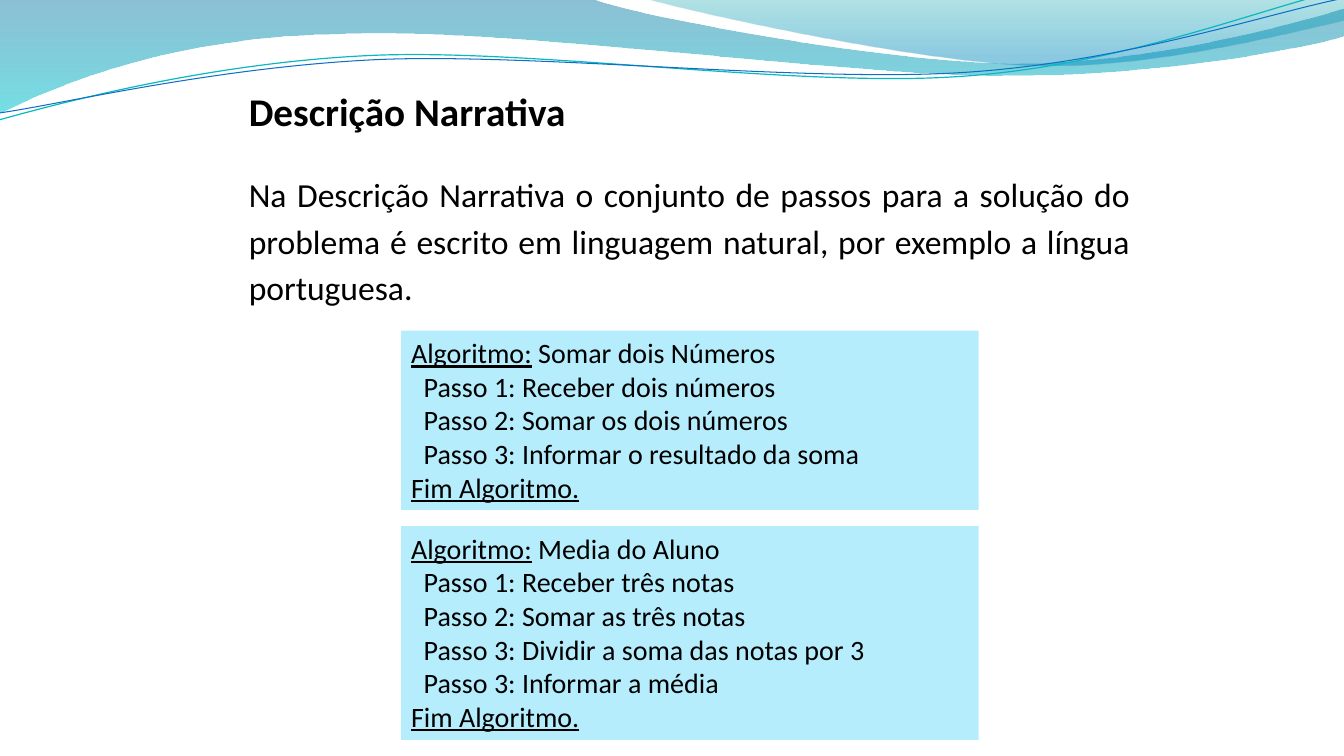
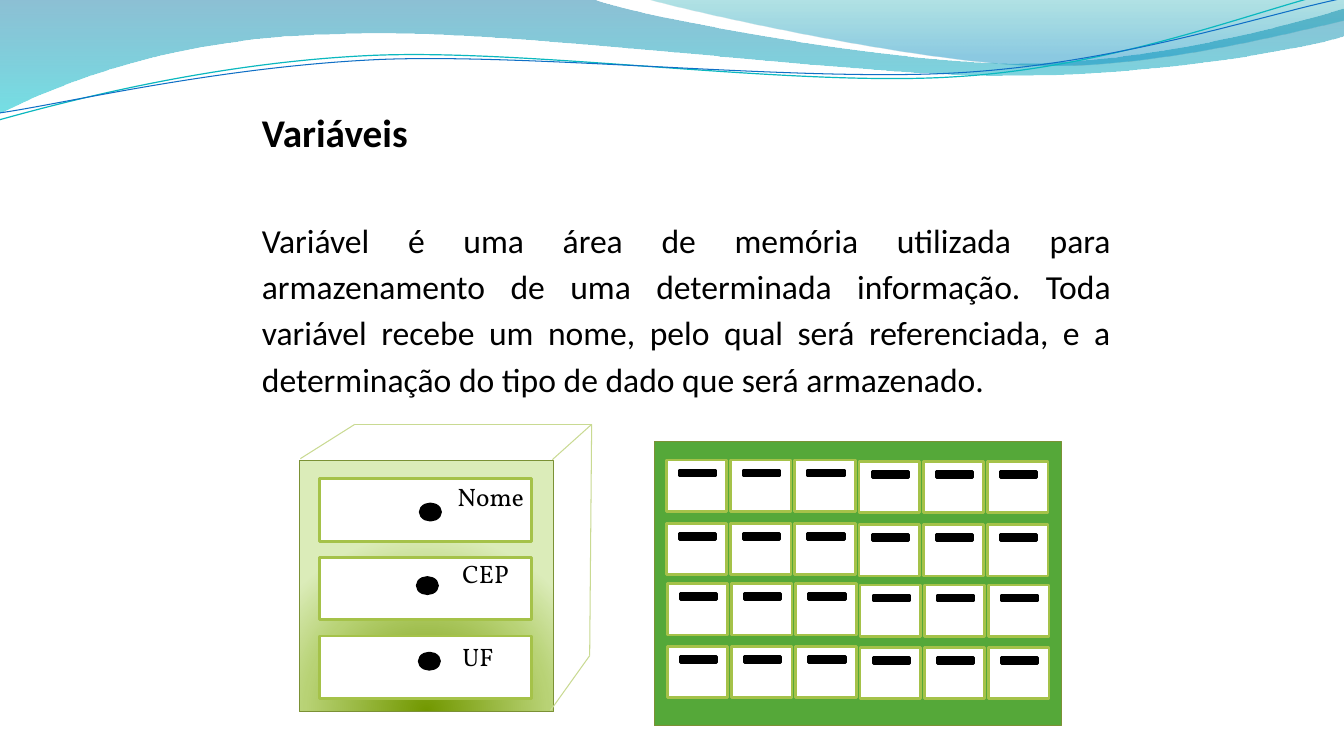
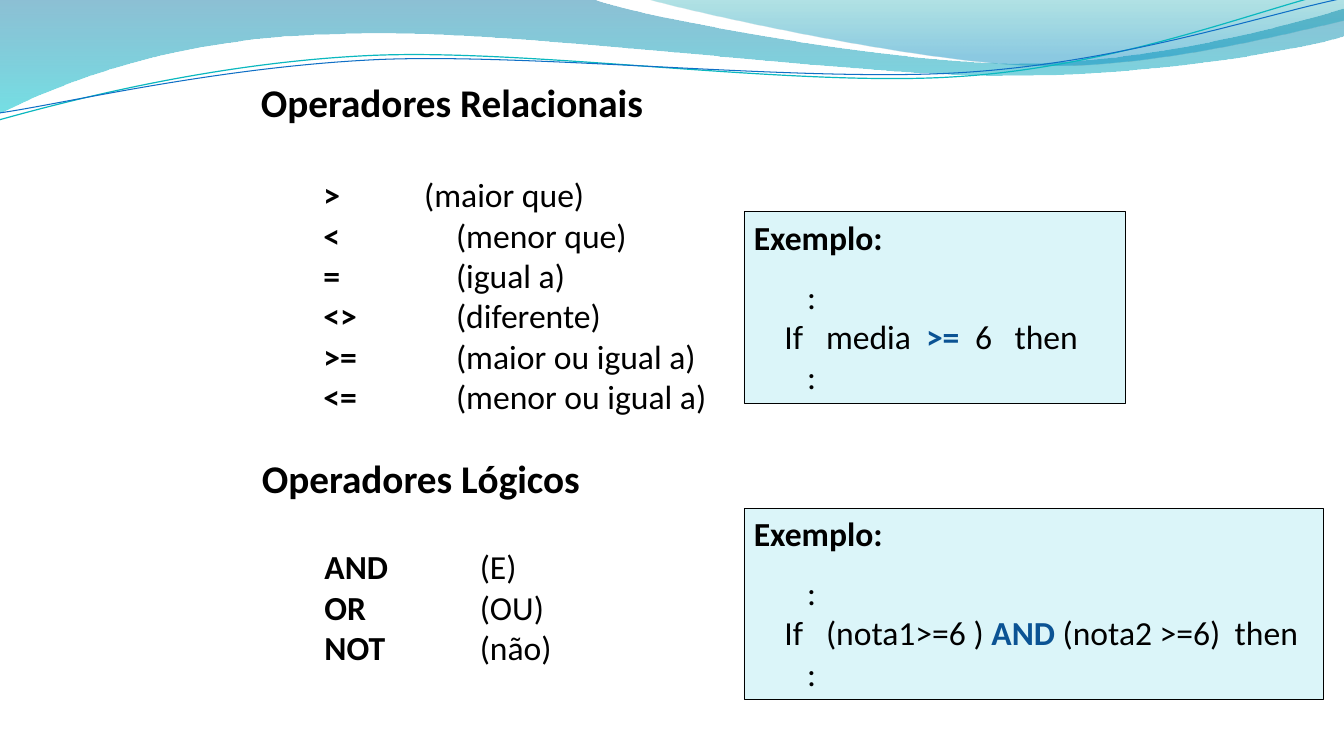
import math

import pptx
import pptx.dml.color
import pptx.enum.shapes
import pptx.enum.text
import pptx.oxml
import pptx.oxml.ns
import pptx.util

RGB = pptx.dml.color.RGBColor
KIND = pptx.enum.shapes.MSO_SHAPE
ALIGN = pptx.enum.text.PP_ALIGN

# The slide is a grid of 160 columns by 90 rows of square cells.
COLS, ROWS = 160, 90
CELL = pptx.util.Inches(7.5) // ROWS

BLACK = RGB(0x00, 0x00, 0x00)
WHITE = RGB(0xFF, 0xFF, 0xFF)
SKY = RGB(0xB5, 0xED, 0xFD)
ICE = RGB(0xDB, 0xF5, 0xF9)
NAVY = RGB(0x0B, 0x53, 0x94)
TEAL = RGB(0x0A, 0xB8, 0xBF)
BLUE = RGB(0x0F, 0x6F, 0xC6)
LIME = RGB(0xA5, 0xC2, 0x49)
PALE = RGB(0xC9, 0xDA, 0x92)
OLIVE = RGB(0x7B, 0x91, 0x35)
GREEN = RGB(0x55, 0xA8, 0x39)

# Gradient stops: position, colour and opacity in percent.
BAND = [(0, RGB(0x00, 0x74, 0xA1), 45), (100, RGB(0x00, 0xC6, 0xCF), 55)]
GLOW = [(0, RGB(0x00, 0xA1, 0xA9), 30), (80, RGB(0x00, 0x8B, 0xBF), 45)]
WOOD = [(0, RGB(0x72, 0x98, 0x00), 100), (68, RGB(0xB8, 0xD2, 0x75), 100),
        (100, RGB(0xDB, 0xEC, 0xB9), 100)]
DOWN = '<a:lin ang="5400000" scaled="0"/>'
ROUND = ('<a:path path="circle"><a:fillToRect l="50000" t="130000" '
         'r="50000" b="-30000"/></a:path>')

# Frames and outlines: two numbers make a straight step, six make a curve.
TILT = -2.7
BAND_BOX = (-0.12, -0.12, 160.32, 13.68)
BAND_PATH = [
    (0, 0), (70.44, -0.12), (76.08, 2.04, 106.2, 7.56, 121.32, 7.56),
    (136.56, 7.56, 153.36, 3.12, 159.96, 1.08), (160.2, 4.32),
    (157.32, 5.28, 139.2, 9.12, 119.28, 9),
    (99.48, 9, 61.08, 3.36, 41.16, 4.08),
    (20.64, 4.32, 7.32, 9.96, -0.12, 13.56), (0, 0)]
GLOW_BOX = (76.68, -0.12, 83.28, 8.4)
GLOW_PATH = [
    (76.68, -0.12), (81.48, 1.32, 109.08, 7.44, 123, 7.8),
    (136.92, 8.28, 153.84, 3.84, 159.96, 2.52), (159.96, 0), (76.68, -0.12)]
TEAL_BOX = (-0.36, 2.64, 160.32, 8.52)
TEAL_PATH = [
    (-0.12, 14.28), (7.68, 12.12, 25.32, 7.44, 44.28, 6.6),
    (63.24, 5.76, 94.8, 10.44, 114, 9.12),
    (133.2, 7.92, 150.24, 0.96, 159.72, -1.2)]
BLUE_BOX = (-0.24, 3.6, 160.56, 6.96)
BLUE_PATH = [
    (0, 13.44), (7.56, 12.36, 26.16, 7.92, 45.36, 7.08),
    (64.44, 6.36, 95.52, 9.84, 114.6, 8.64),
    (133.8, 7.44, 150.6, 1.68, 160.08, -0.24)]


def cells(*nums):
    """Turn grid cells into lengths."""
    return [pptx.util.Emu(round(num * CELL)) for num in nums]


def node(text):
    """Make one drawing element from its XML."""
    head, tail = text.split(" ", 1)
    return pptx.oxml.parse_xml(f"{head} {pptx.oxml.ns.nsdecls('a')} {tail}")


def swap(shape, tag, new):
    """Put a new element in place of the one with this tag."""
    old = next(shape.element.spPr.iter(pptx.oxml.ns.qn(tag)))
    old.getparent().replace(old, new)


def shade(shape, stops, way):
    """Fill a shape with a gradient."""
    shape.fill.gradient()
    marks = "".join(
        f'<a:gs pos="{pos * 1000}"><a:srgbClr val="{tint}">'
        f'<a:alpha val="{alpha * 1000}"/></a:srgbClr></a:gs>'
        for pos, tint, alpha in stops)
    swap(shape, "a:gradFill", node(
        f'<a:gradFill rotWithShape="1"><a:gsLst>{marks}</a:gsLst>'
        f'{way}</a:gradFill>'))


def stroke(shape, tint, width):
    """Set or remove the line of a shape."""
    if tint is None:
        shape.line.fill.background()
    else:
        shape.line.color.rgb = tint
        shape.line.width = pptx.util.Pt(width)


def block(slide, place, fill, line=None, width=2, kind=KIND.RECTANGLE):
    """Add a preset shape with a plain fill."""
    shape = slide.shapes.add_shape(kind, *cells(*place))
    shape.shadow.inherit = False
    shape.fill.solid()
    shape.fill.fore_color.rgb = fill
    stroke(shape, line, width)
    return shape


def edge(slide, start, end):
    """Add a thin straight line."""
    line = slide.shapes.add_connector(
        pptx.enum.shapes.MSO_CONNECTOR.STRAIGHT, *cells(*start, *end))
    stroke(line, PALE, 0.75)
    line.element.spPr.append(node("<a:effectLst />"))


def turn(spot, box, angle):
    """Place a point in its frame, with the tilt of the frame undone."""
    left, top, wide, tall = box
    x, y = spot[0] - left - wide / 2, spot[1] - top - tall / 2
    cos, sin = math.cos(math.radians(angle)), math.sin(math.radians(angle))
    return cells(x * cos + y * sin + wide / 2, y * cos - x * sin + tall / 2)


def outline(route, box, angle, shut):
    """Make the path element of an outline."""
    steps = ""
    for part in route:
        spots = [turn(part[at:at + 2], box, angle)
                 for at in range(0, len(part), 2)]
        tag = "cubicBezTo" if len(spots) == 3 else "lnTo" if steps else "moveTo"
        dots = "".join(f'<a:pt x="{x}" y="{y}"/>' for x, y in spots)
        steps += f"<a:{tag}>{dots}</a:{tag}>"
    wide, tall = cells(*box[2:])
    end = "<a:close/>" if shut else ""
    return node(f'<a:path w="{wide}" h="{tall}">{steps}{end}</a:path>')


def wave(slide, route, box, stops=None, line=None, width=1, angle=0):
    """Add a curved band, or an open curve when it has no stops."""
    pen = slide.shapes.build_freeform(*cells(*route[0]))
    pen.add_line_segments([cells(*part[-2:]) for part in route[1:]],
                          close=bool(stops))
    shape = pen.convert_to_shape()
    swap(shape, "a:path", outline(route, box, angle, bool(stops)))
    shape.left, shape.top, shape.width, shape.height = cells(*box)
    shape.rotation = angle
    shape.shadow.inherit = False
    if stops:
        shade(shape, stops, DOWN)
    else:
        shape.fill.background()
    stroke(shape, line, width)
    return shape


def dress(slide, layout):
    """Draw the waves and move them to the shared layout."""
    tree = layout.shapes.element
    for holder in list(layout.placeholders):
        tree.remove(holder.element)
    for shape in (
            wave(slide, BAND_PATH, BAND_BOX, BAND),
            wave(slide, GLOW_PATH, GLOW_BOX, GLOW),
            wave(slide, TEAL_PATH, TEAL_BOX, line=TEAL, width=0.85, angle=TILT),
            wave(slide, BLUE_PATH, BLUE_BOX, line=BLUE, width=0.75, angle=TILT)):
        tree.append(shape.element)


def ready(shape):
    """Return the text frame of a shape, set to wrap and grow."""
    frame = shape.text_frame
    frame.word_wrap = True
    frame.auto_size = pptx.enum.text.MSO_AUTO_SIZE.SHAPE_TO_FIT_TEXT
    frame.vertical_anchor = pptx.enum.text.MSO_ANCHOR.TOP
    return frame


def area(slide, *place):
    """Add an empty text box."""
    return ready(slide.shapes.add_textbox(*cells(*place)))


def say(frame, *runs, size=24, font="Calibri", align=ALIGN.LEFT, space=None,
        after=0, inset=0, tabs=()):
    """Add a paragraph; a run is text, or text with marks b, u or k (key)."""
    para = frame.paragraphs[0]
    if para.runs:
        para = frame.add_paragraph()
    para.alignment = align
    para.space_after = pptx.util.Pt(after)
    if space:
        para.line_spacing = space
    props = para._p.get_or_add_pPr()
    if inset:
        props.set("marL", str(cells(inset)[0]))
    if tabs:
        stops = "".join(f'<a:tab pos="{pos}" algn="l"/>' for pos in cells(*tabs))
        props.append(node(f"<a:tabLst >{stops}</a:tabLst>"))
    for item in runs:
        text, marks = (item, "") if isinstance(item, str) else item
        run = para.add_run()
        run.text = text
        run.font.name = font
        run.font.size = pptx.util.Pt(size)
        run.font.bold = "b" in marks
        run.font.underline = "u" in marks
        run.font.color.rgb = NAVY if "k" in marks else BLACK


def head(slide, text, left, top, wide=50.16):
    """Add a bold heading."""
    say(area(slide, left, top, wide, 6.84), (text, "b"), size=28)


def body(slide, text, *place):
    """Add a justified paragraph."""
    say(area(slide, *place), text, align=ALIGN.JUSTIFY, space=1.15, after=10)


def recipe(slide, name, steps, top, tall):
    """Add a box with the steps of an algorithm."""
    frame = ready(block(slide, (47.76, top, 68.76, tall), SKY))
    say(frame, ("Algoritmo:", "u"), " " + name, size=20)
    for step in steps:
        say(frame, step, size=20, inset=1.5)
    say(frame, ("Fim Algoritmo.", "u"), size=20)


def terms(slide, pairs, tab, *place):
    """Add a list of operators with their meanings."""
    frame = area(slide, *place)
    for sign, sense, *own in pairs:
        say(frame, (sign, "b"), "\t" + sense, tabs=own or [tab])


def sample(slide, runs, tabs, top, wide):
    """Add a box with a line of code."""
    frame = ready(block(slide, (88.56, top, wide, 22.8), ICE, BLACK, 0.25))
    say(frame, ("Exemplo:", "b"), after=13.4)
    say(frame, ":", inset=6.35)
    say(frame, *runs, tabs=tabs)
    say(frame, ":", inset=6.35)


def chest(slide):
    """Draw the cabinet with three named drawers."""
    unit = slide.shapes.add_group_shape()
    front = block(unit, (35.64, 54.84, 30.24, 29.88), WHITE, OLIVE, 0.75)
    shade(front, WOOD, ROUND)
    drawers = [("Nome", 0, 56.76, 50.04, 60), ("CEP", 0.6, 65.88, 49.68, 68.76),
               ("UF", 0.6, 75.78, 49.92, 77.76)]
    for row, (name, inset, top, left, knob) in enumerate(drawers):
        block(unit, (38.04, 57 + 9.36 * row, 25.25, 7.44), WHITE, LIME)
        block(unit, (left, knob, 2.4, 1.92), BLACK, BLACK, kind=KIND.OVAL)
        say(area(unit, 53.28, top, 11.28, 4.8), name, size=18,
            font="Vollkorn", inset=inset)
    back, side, foot = (42.24, 50.52), (70.44, 50.52), (70.2, 78.06)
    for start, end in (((35.76, 54.6), back), ((65.76, 54.72), side),
                       ((65.52, 84.6), foot), (back, side), (side, foot)):
        edge(unit, start, end)


def rack(slide):
    """Draw the panel with four rows of six boxes."""
    block(slide, (77.88, 52.56, 48.48, 33.84), GREEN, OLIVE, 0.75)
    for row, level in enumerate((54.75, 62.3, 69.48, 76.92)):
        shelf = slide.shapes.add_group_shape()
        for col in range(6):
            left = 79.32 + 7.65 * col + 0.12 * (row // 2)
            top = level + 0.16 * (col // 3)
            block(shelf, (left, top, 7.2, 6.12), WHITE, LIME)
            block(shelf, (left + 1.56, top + 1.2, 4.32, 0.72), BLACK, BLACK)


def story(slide):
    """Fill the slide on narrative description."""
    head(slide, "Descrição Narrativa", 28.44, 9.84, 78.96)
    body(slide, "Na Descrição Narrativa o conjunto de passos para a solução do "
         "problema é escrito em linguagem natural, por exemplo a língua "
         "portuguesa.", 28.44, 19.44, 107.28, 17.88)
    recipe(slide, "Somar dois Números", [
        "Passo 1: Receber dois números", "Passo 2: Somar os dois números",
        "Passo 3: Informar o resultado da soma"], 39.36, 21.36)
    recipe(slide, "Media do Aluno", [
        "Passo 1: Receber três notas", "Passo 2: Somar as três notas",
        "Passo 3: Dividir a soma das notas por 3",
        "Passo 3: Informar a média"], 62.64, 25.44)


def store(slide):
    """Fill the slide on variables."""
    head(slide, "Variáveis", 30, 12.36)
    body(slide, "Variável é uma área de memória utilizada para armazenamento de "
         "uma determinada informação. Toda variável recebe um nome, pelo qual "
         "será referenciada, e a determinação do tipo de dado que será "
         "armazenado.", 30, 24.84, 103.44, 23.16)
    chest(slide)
    rack(slide)


def logic(slide):
    """Fill the slide on operators."""
    head(slide, "Operadores Lógicos", 30, 53.52)
    head(slide, "Operadores Relacionais", 29.88, 8.76, 54.12)
    terms(slide, [("AND", "(E)"), ("OR", "(OU)"), ("NOT", "(não)")],
          18.5, 37.44, 64.44, 44.64, 15.72)
    terms(slide, [
        (">", "(maior que)", 12), ("<", "(menor que)"), ("=", "(igual a)"),
        ("<>", "(diferente)"), (">=", "(maior ou igual a)"),
        ("<=", "(menor ou igual a)")], 15.8, 37.32, 20.16, 48.24, 30.24)
    sample(slide, ["\tIf\tmedia\t", (">=", "bk"), "\t6\tthen"],
           [3.65, 8.6, 20.5, 26.35, 31.05], 25.2, 45.36)
    sample(slide, ["\tIf\t(nota1>=6 ) ", ("AND", "bk"), " (nota2 >=6)\tthen"],
           [3.65, 8.6, 57.25], 60.48, 69)


def main():
    """Build and save the deck."""
    deck = pptx.Presentation()
    deck.slide_width, deck.slide_height = cells(COLS, ROWS)
    layout = deck.slide_layouts[6]
    pages = [deck.slides.add_slide(layout) for _ in range(3)]
    dress(pages[0], layout)
    for page, fill in zip(pages, (story, store, logic)):
        fill(page)
    deck.save("out.pptx")


main()
